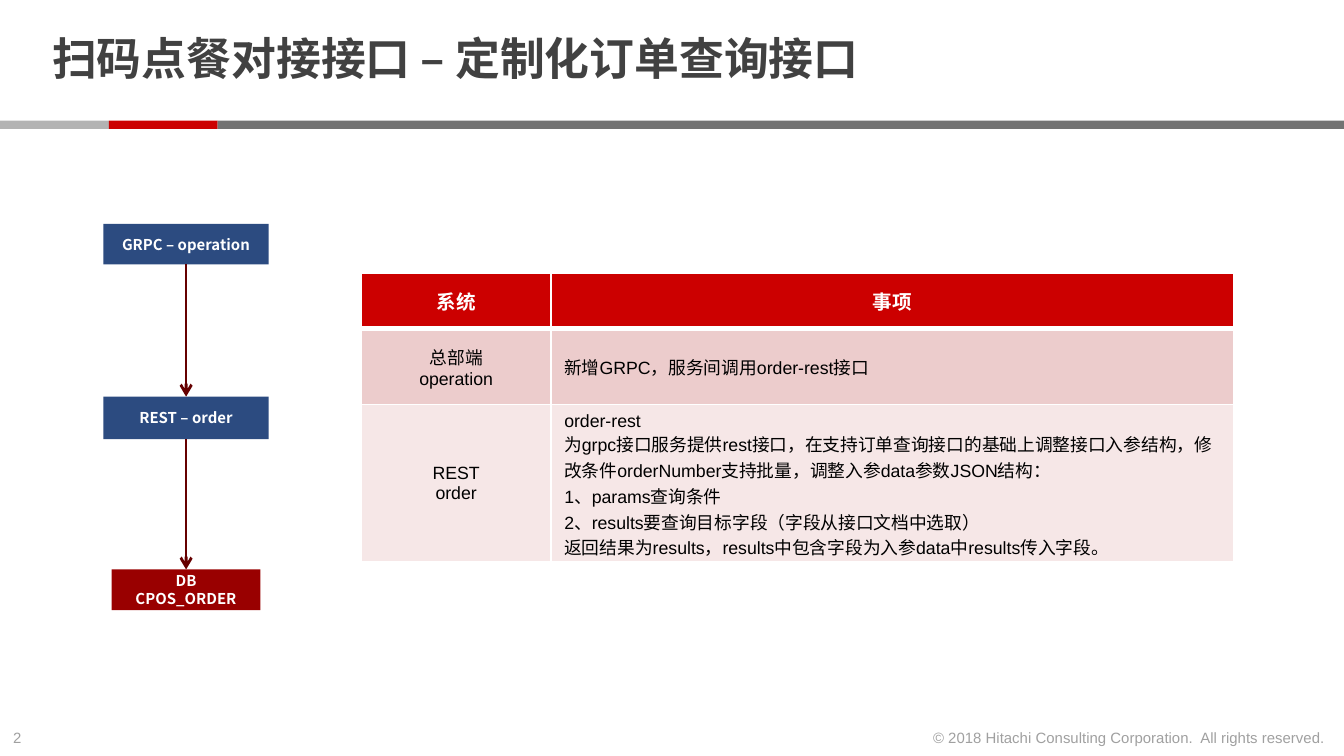
from pptx import Presentation, util as u
from pptx.dml.color import RGBColor
from pptx.enum import shapes, text
from pptx.oxml import parse_xml
from pptx.oxml.ns import nsdecls

WIDE = 10
HIGH = WIDE * 9 / 16
SANS, HAN = "Arial", "Noto Sans CJK SC"
MID, LEFT, RIGHT = text.PP_ALIGN.CENTER, text.PP_ALIGN.LEFT, text.PP_ALIGN.RIGHT
MIDDLE = text.MSO_ANCHOR.MIDDLE


def hue(code):
    return RGBColor.from_string(code)


def part(box, x, y, w, h):
    left, top, wide, high = box
    return (left + x * wide / 100, top + y * high / 100,
            w * wide / 100, h * high / 100)


def inch(box):
    return [u.Inches(n) for n in box]


def style(frame, size, code, bold=False, align=LEFT, face=SANS):
    for para in frame.paragraphs:
        para.alignment = align
        for run in para.runs:
            font = run.font
            font.size, font.bold, font.name = u.Pt(size), bold, face
            font.color.rgb = hue(code)
            run._r.get_or_add_rPr().append(
                parse_xml(f'<a:ea {nsdecls("a")} typeface="{HAN}"/>'))


def block(slide, box, code):
    shape = slide.shapes.add_shape(shapes.MSO_SHAPE.RECTANGLE, *inch(box))
    shape.shadow.inherit = False
    shape.fill.solid()
    shape.fill.fore_color.rgb = hue(code)
    shape.line.fill.background()
    return shape


def title(slide, box):
    frame = slide.shapes.add_textbox(*inch(box)).text_frame
    frame.word_wrap = True
    frame.vertical_anchor = MIDDLE
    frame.margin_top = frame.margin_bottom = 0
    frame.text = "扫码点餐对接接口 – 定制化订单查询接口"
    frame.paragraphs[0].line_spacing = 0.85
    style(frame, 24, "414141", True)


def band(slide, box):
    x = 0
    for w, code in ((8.1, "B3B3B3"), (8.1, "CC0000"), (83.8, "737373")):
        block(slide, part(box, x, 0, w, 100), code)
        x += w


def footer(slide, box):
    for x, w, words, align in (
            (0, 3.4, "2", LEFT),
            (68, 31.6, "© 2018 Hitachi Consulting Corporation.\u00a0 All rights reserved.", RIGHT)):
        frame = slide.shapes.add_textbox(*inch(part(box, x, 0, w, 100))).text_frame
        frame.word_wrap = False
        frame.text = words
        style(frame, 8, "A0A0A0", align=align)


def arrow(slide, start, end):
    line = slide.shapes.add_connector(shapes.MSO_CONNECTOR.STRAIGHT, 0, 0, 0, 0)
    line.begin_connect(start, 2)
    line.end_connect(end, 0)
    line.line.width = u.Pt(1.5)
    line.line.color.rgb = hue("660000")
    line.line._get_or_add_ln().append(
        parse_xml(f'<a:tailEnd {nsdecls("a")} type="arrow"/>'))
    line._element.spPr.append(parse_xml(f'<a:effectLst {nsdecls("a")}/>'))


def flow(slide, box):
    nodes = []
    for i, (words, w, h, code) in enumerate((
            ("GRPC – operation", 100, 10.5, "2C4B80"),
            ("REST – order", 100, 11, "2C4B80"),
            ("DB CPOS_ORDER", 90, 10.5, "990000"))):
        node = block(slide, part(box, (100 - w) / 2, i * 44.75, w, h), code)
        frame = node.text_frame
        frame.word_wrap = True
        frame.vertical_anchor = MIDDLE
        frame.text = words
        style(frame, 8, "FFFFFF", True, MID, HAN)
        nodes.append(node)
    for start, end in zip(nodes, nodes[1:]):
        arrow(slide, start, end)


def edge(cell, top, base):
    props = cell._tc.get_or_add_tcPr()
    for side, width in (("L", 1), ("R", 1), ("T", top), ("B", base)):
        props.append(parse_xml(
            f'<a:ln{side} {nsdecls("a")} w="{u.Pt(width)}"><a:solidFill>'
            f'<a:srgbClr val="FFFFFF"/></a:solidFill></a:ln{side}>'))


def table(slide, box):
    rows = (
        (19.1, "CC0000", "系统", "事项"),
        (26.5, "ECCCCC", "总部端\noperation", "新增GRPC，服务间调用order-rest接口"),
        (54.4, "F6E7E7", "REST\norder",
         "order-rest\n"
         "为grpc接口服务提供rest接口，在支持订单查询接口的基础上调整接口入参结构，"
         "修改条件orderNumber支持批量，调整入参data参数JSON结构：\n"
         "1、params查询条件\n"
         "2、results要查询目标字段（字段从接口文档中选取）\n"
         "返回结果为results，results中包含字段为入参data中results传入字段。"))
    grid = slide.shapes.add_table(len(rows), 2, *inch(box)).table
    for col, share in zip(grid.columns, (21.7, 78.3)):
        col.width = u.Inches(share * box[2] / 100)
    for i, (share, code, *words) in enumerate(rows):
        grid.rows[i].height = u.Inches(share * box[3] / 100)
        head = i == 0
        for j, word in enumerate(words):
            cell = grid.cell(i, j)
            edge(cell, 3 if i == 1 else 1, 3 if head else 1)
            cell.fill.solid()
            cell.fill.fore_color.rgb = hue(code)
            cell.vertical_anchor = MIDDLE
            cell.text_frame.text = word
            style(cell.text_frame, 10.5 if head else 9.5,
                  "FFFFFF" if head else "000000", head,
                  MID if head or j == 0 else LEFT)


def main():
    deck = Presentation()
    deck.slide_width, deck.slide_height = u.Inches(WIDE), u.Inches(HIGH)
    slide = deck.slides.add_slide(deck.slide_layouts[6])
    page = 0, 0, WIDE, HIGH
    footer(slide, part(page, 0, 95.5, 100, 4.3))
    band(slide, part(page, 0, 15.95, 100, 1.1))
    title(slide, part(page, 2.9, 1.05, 77.1, 14.2))
    flow(slide, part(page, 7.7, 29.6, 12.3, 51.1))
    table(slide, part(page, 26.9, 36.1, 64.9, 38.2))
    deck.save("out.pptx")


if __name__ == "__main__":
    main()
